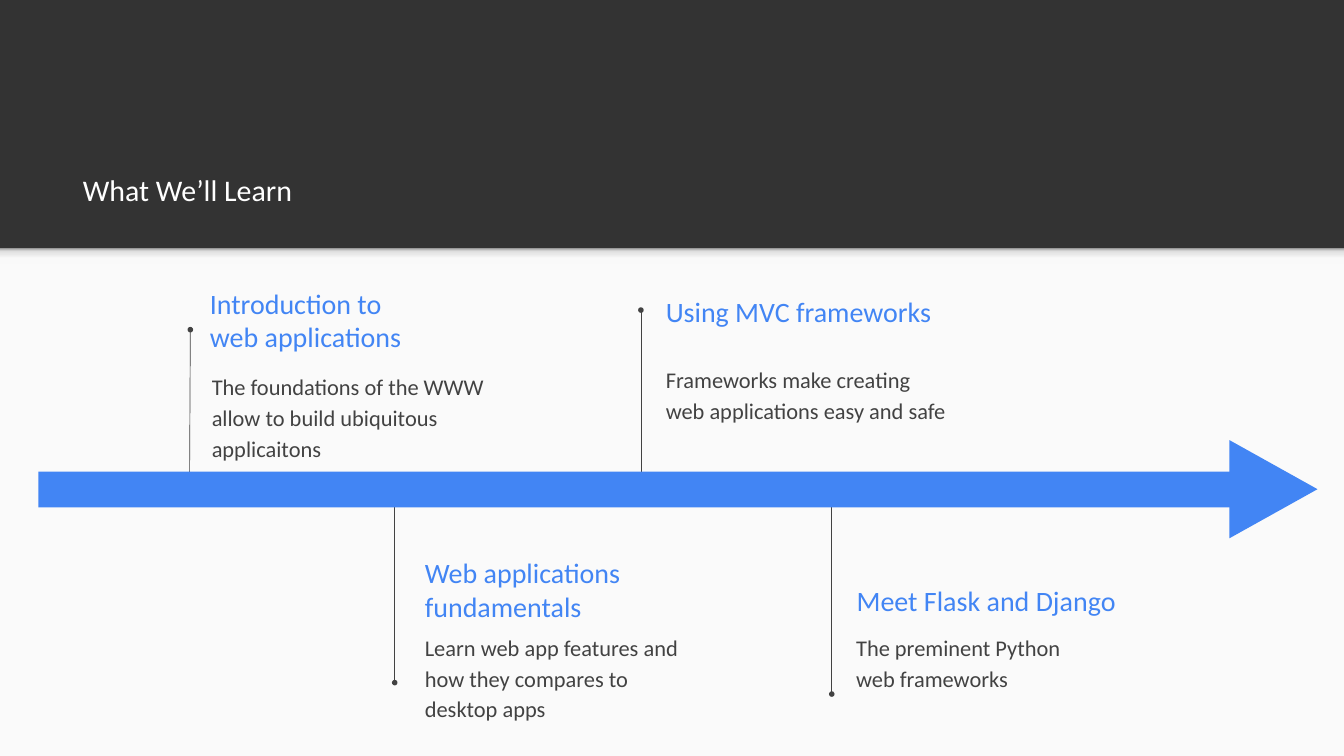
from lxml import etree
from pptx import Presentation
from pptx import util as u
from pptx.dml.color import RGBColor
from pptx.enum import shapes, text
from pptx.oxml import parse_xml
from pptx.oxml.ns import nsdecls, qn

COLORS = {
    "header": "333333",
    "panel": "FAFAFA",
    "accent": "4285F4",
    "body": "424242",
    "title": "FFFFFF",
}
EDGE_STOPS = [(0, "F9F9F9"), (36, "F9F9F9"), (80, "DEDEDE"), (100, "999999")]
FONT = "Calibri"
PAGE_WIDTH, PAGE_HEIGHT = 50.77, 28.55
PANEL_TOP = 9.37
INSET = 0.51
BODY_HEIGHT = 3.23

MILESTONES = [
    {
        "line": (7.16, 18.19, 7.19, 12.45),
        "heading": ("Introduction to web applications", (7.42, 10.46, 9.53, 3.23)),
        "body": ("The foundations of the WWW allow to build ubiquitous applicaitons",
                 (7.49, 13.44, 11.68, BODY_HEIGHT)),
    },
    {
        "line": (14.91, 18.31, 14.91, 25.78),
        "heading": ("Web applications fundamentals", (15.54, 21.16, 8.48, 2.18)),
        "body": ("Learn web app features and how they compares to desktop apps",
                 (15.54, 23.27, 10.92, BODY_HEIGHT)),
    },
    {
        "line": (24.21, 18.14, 24.21, 11.71),
        "heading": ("Using MVC frameworks", (24.64, 10.67, 11.25, 2.18)),
        "body": ("Frameworks make creating web applications easy and safe",
                 (24.64, 13.16, 11.68, BODY_HEIGHT)),
    },
    {
        "line": (31.42, 18.72, 31.42, 26.21),
        "heading": ("Meet Flask and Django", (31.85, 20.8, 10.92, 3.71)),
        "body": ("The preminent Python web frameworks",
                 (31.83, 23.27, 9.53, BODY_HEIGHT)),
    },
]


def color(name):
    return RGBColor.from_string(COLORS[name])


def lengths(values):
    return [u.Cm(value) for value in values]


def add_block(page, kind, place, fill):
    block = page.shapes.add_shape(kind, *lengths(place))
    block.shadow.inherit = False
    block.fill.solid()
    block.fill.fore_color.rgb = color(fill)
    block.line.fill.background()
    return block


def add_panel_edge(page):
    edge = add_block(page, shapes.MSO_SHAPE.RECTANGLE,
                     (0, PANEL_TOP, PAGE_WIDTH, 0.61), "panel")
    stops = "".join(
        f'<a:gs pos="{percent * 1000}"><a:srgbClr val="{value}"/></a:gs>'
        for percent, value in EDGE_STOPS
    )
    gradient = parse_xml(
        f'<a:gradFill {nsdecls("a")} rotWithShape="1"><a:gsLst>{stops}</a:gsLst>'
        '<a:lin ang="16200000" scaled="0"/></a:gradFill>'
    )
    properties = edge._element.spPr
    properties.replace(properties.find(qn("a:solidFill")), gradient)


def add_pin(page, ends):
    pin = page.shapes.add_connector(shapes.MSO_CONNECTOR.STRAIGHT, *lengths(ends))
    pin.line.color.rgb = color("body")
    pin.line.width = u.Pt(0.75)
    etree.SubElement(pin.line._get_or_add_ln(), qn("a:tailEnd"), type="oval")
    etree.SubElement(pin._element.spPr, qn("a:effectLst"))


def add_text(page, words, place, size, fill, anchor, spacing=1.0):
    box = page.shapes.add_textbox(*lengths(place))
    frame = box.text_frame
    frame.text = words
    frame.word_wrap = True
    frame.vertical_anchor = anchor
    frame.margin_left = frame.margin_right = u.Cm(INSET)
    frame.margin_top = frame.margin_bottom = u.Cm(INSET)
    para = frame.paragraphs[0]
    para.line_spacing = spacing
    for span in para.runs:
        span.font.name = FONT
        span.font.size = u.Pt(size)
        span.font.color.rgb = color(fill)


def add_milestone(page, milestone):
    add_pin(page, milestone["line"])
    add_text(page, *milestone["heading"], 30, "accent", text.MSO_ANCHOR.MIDDLE)
    add_text(page, *milestone["body"], 24, "body", text.MSO_ANCHOR.TOP, 1.15)


def add_timeline_arrow(page):
    head = add_block(page, shapes.MSO_SHAPE.ISOSCELES_TRIANGLE,
                     (46.25, 16.81, 3.71, 3.33), "accent")
    head.rotation = 90
    add_block(page, shapes.MSO_SHAPE.RECTANGLE, (1.45, 17.81, 45.62, 1.35), "accent")


def main():
    deck = Presentation()
    deck.slide_width, deck.slide_height = lengths((PAGE_WIDTH, PAGE_HEIGHT))
    page = deck.slides.add_slide(deck.slide_layouts[6])
    page.background.fill.solid()
    page.background.fill.fore_color.rgb = color("header")

    add_block(page, shapes.MSO_SHAPE.RECTANGLE,
              (0, PANEL_TOP, PAGE_WIDTH, PAGE_HEIGHT - PANEL_TOP), "panel")
    add_panel_edge(page)
    add_text(page, "What We’ll Learn", (2.62, 4.09, 45.67, 4.27),
             32, "title", text.MSO_ANCHOR.BOTTOM)
    for milestone in MILESTONES:
        add_milestone(page, milestone)
    add_timeline_arrow(page)

    deck.save("out.pptx")


if __name__ == "__main__":
    main()
